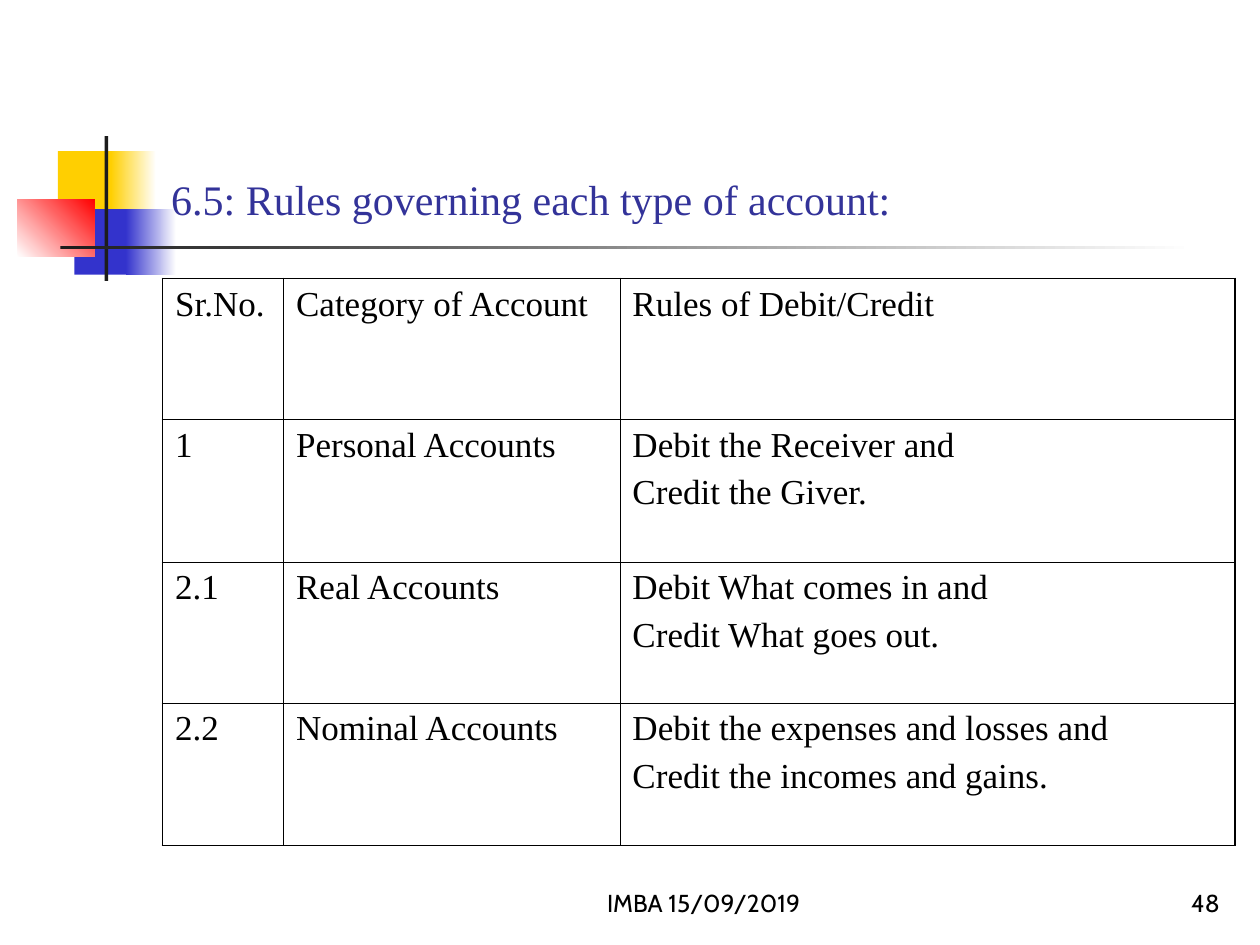
"""Build the slide on the rules governing each type of account."""
import dataclasses
import typing

import lxml.etree
import pptx
import pptx.dml.color
import pptx.enum.shapes
import pptx.enum.text
import pptx.oxml.ns
import pptx.util

Inches = pptx.util.Inches
Align = pptx.enum.text.PP_ALIGN
Anchor = pptx.enum.text.MSO_ANCHOR

HUES = {
    "gold": "FFCF01", "blue": "3333CC", "red": "FF0000", "dark": "1C1C1C",
    "white": "FFFFFF", "black": "000000", "title": "333399",
}
SERIF = "Times New Roman"
THIN, THICK = 0.45, 1.08
COLS = (0.96, 2.67, 4.88)
ROWS = (1.12, 1.13, 1.12, 1.13)


@dataclasses.dataclass
class Block:
    """A rectangle with a plain fill, or a fade when it has an end hue."""
    box: tuple
    hue: str
    end: typing.Optional[str] = None
    angle: int = 0


@dataclasses.dataclass
class Label:
    """A line of text anchored to the bottom of its box."""
    box: tuple
    text: str
    size: int
    face: str
    hue: str
    align: Align


BLOCKS = (
    Block((0.46, 1.2, 0.48, 0.52), "gold"),
    Block((0.88, 1.2, 0.36, 0.52), "gold", "white"),
    Block((0.59, 1.66, 0.46, 0.52), "blue"),
    Block((1, 1.66, 0.4, 0.52), "blue", "white"),
    Block((0.14, 1.58, 0.61, 0.46), "white", "red", 45),
    Block((0.83, 1.08, 0.03, 1.15), "dark"),
    Block((0.48, 1.95, 9, 0.03), "dark", "white"),
)
LABELS = (
    Label((4, 6.83, 3.17, 0.5), "IMBA 15/09/2019", 14, "Cabin", "black", Align.CENTER),
    Label((7.7, 6.83, 2.08, 0.5), "48", 14, "Cabin", "black", Align.RIGHT),
    Label((1.26, 0.23, 8.52, 1.6), "6.5: Rules governing each type of account:",
          24, SERIF, "title", Align.LEFT),
)
CELLS = (
    ("Sr.No.", "Category of Account", "Rules of Debit/Credit"),
    ("1", "Personal Accounts", "Debit the Receiver and\nCredit the Giver."),
    ("2.1", "Real Accounts", "Debit What comes in and\nCredit What goes out."),
    ("2.2", "Nominal Accounts",
     "Debit the expenses and losses and\nCredit the incomes and gains."),
)


def apply(item: typing.Any, form: dict) -> None:
    """Set each attribute of the item."""
    for name, value in form.items():
        setattr(item, name, value)


def color(hue: str) -> pptx.dml.color.RGBColor:
    """Look up a colour by name."""
    return pptx.dml.color.RGBColor.from_string(HUES[hue])


def style(para: typing.Any, size: int, face: str, hue: str) -> None:
    """Set the font of a paragraph's runs."""
    for run in para.runs:
        apply(run.font, {"size": pptx.util.Pt(size), "name": face})
        run.font.color.rgb = color(hue)


def draw_block(slide: typing.Any, block: Block) -> None:
    """Draw one rectangle."""
    kind = pptx.enum.shapes.MSO_SHAPE.RECTANGLE
    shape = slide.shapes.add_shape(kind, *map(Inches, block.box))
    shape.shadow.inherit = False
    shape.line.fill.background()
    if block.end:
        shape.fill.gradient()
        shape.fill.gradient_angle = block.angle
        for stop, hue in zip(shape.fill.gradient_stops, (block.hue, block.end)):
            stop.color.rgb = color(hue)
    else:
        shape.fill.solid()
        shape.fill.fore_color.rgb = color(block.hue)


def draw_label(slide: typing.Any, label: Label) -> None:
    """Draw one text box."""
    frame = slide.shapes.add_textbox(*map(Inches, label.box)).text_frame
    apply(frame, {"word_wrap": True, "vertical_anchor": Anchor.BOTTOM,
                  "text": label.text})
    para = frame.paragraphs[0]
    para.alignment = label.align
    style(para, label.size, label.face, label.hue)


def edge(cell: typing.Any, widths: dict) -> None:
    """Give a cell its borders, in the order left, right, top, bottom."""
    tag = pptx.oxml.ns.qn
    props = cell._tc.get_or_add_tcPr()
    for spot, (side, width) in enumerate(widths.items()):
        line = lxml.etree.Element(tag(f"a:ln{side}"), w=str(pptx.util.Pt(width)))
        fill = lxml.etree.SubElement(line, tag("a:solidFill"))
        lxml.etree.SubElement(fill, tag("a:srgbClr"), val=HUES["black"])
        props.insert(spot, line)


def draw_table(slide: typing.Any) -> None:
    """Draw the table of rules."""
    box = (1.29, 2.21, sum(COLS), sum(ROWS))
    table = slide.shapes.add_table(len(ROWS), len(COLS), *map(Inches, box)).table
    apply(table, {"first_row": False, "horz_banding": False})
    for col, width in zip(table.columns, COLS):
        col.width = Inches(width)
    for row, height in zip(table.rows, ROWS):
        row.height = Inches(height)
    for r, texts in enumerate(CELLS):
        for c, text in enumerate(texts):
            cell = table.cell(r, c)
            cell.text = text
            cell.fill.background()
            outer = {"L": c == 0, "R": c == len(COLS) - 1,
                     "T": r == 0, "B": r == len(ROWS) - 1}
            edge(cell, {side: THICK if out else THIN for side, out in outer.items()})
            for i, para in enumerate(cell.text_frame.paragraphs):
                para.space_before = pptx.util.Pt(5 if i else 0)
                style(para, 20, SERIF, "black")


def main() -> None:
    """Build and save the slide."""
    deck = pptx.Presentation()
    apply(deck, {"slide_width": Inches(10), "slide_height": Inches(7.5)})
    slide = deck.slides.add_slide(deck.slide_layouts[6])
    for block in BLOCKS:
        draw_block(slide, block)
    for label in LABELS:
        draw_label(slide, label)
    draw_table(slide)
    deck.save("out.pptx")


if __name__ == "__main__":
    main()
